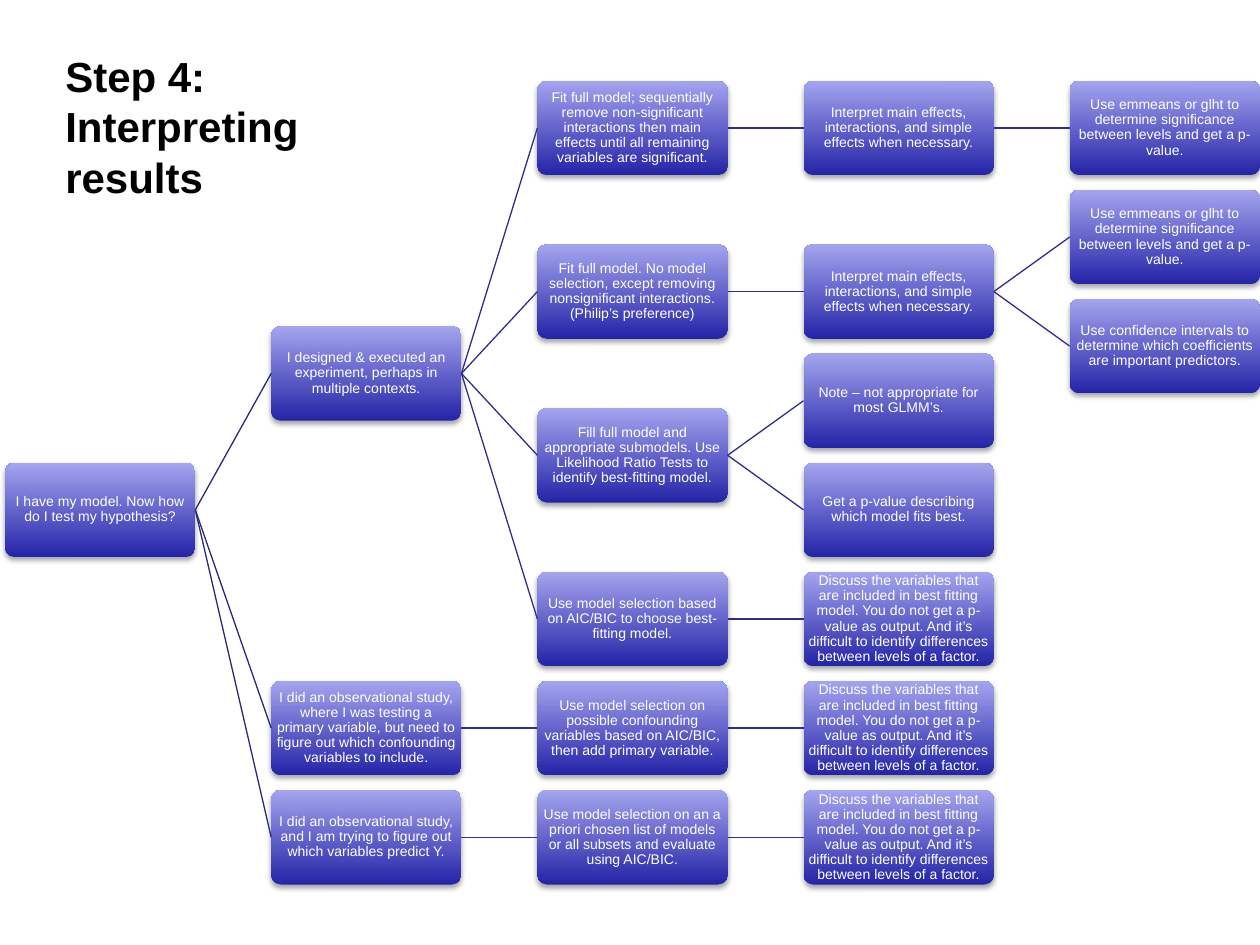
"""Build the decision tree slide for interpreting model results."""
from dataclasses import dataclass
from typing import Optional

from lxml.etree import SubElement
from pptx import Presentation
from pptx.dml.color import RGBColor
from pptx.enum.shapes import MSO_CONNECTOR as Connector, MSO_SHAPE as Preset
from pptx.enum.text import MSO_ANCHOR as Anchor, MSO_AUTO_SIZE as AutoSize, PP_ALIGN as Align
from pptx.oxml.ns import qn
from pptx.shapes.autoshape import Shape
from pptx.slide import Slide
from pptx.util import Inches, Pt

COLORS = {
    "dark": "2424A8",
    "light": "A4A4EF",
    "root_line": "29297B",
    "line": "2E2E8B",
    "shadow": "000000",
    "title": "000000",
    "text": "FFFFFF",
}
FONT = "Arial"
PAGE_WIDTH, PAGE_HEIGHT = 10, 7.5
BOX_WIDTH, BOX_HEIGHT = 1.51, 0.75
LEFT, TOP, LAST_TOP = 0.04, 0.64, 6.27
LAST_COLUMN, LAST_ROW = 4, 6.5
COLUMN_STEP = (PAGE_WIDTH - BOX_WIDTH - LEFT) / LAST_COLUMN
ROW_STEP = (LAST_TOP - TOP) / LAST_ROW


@dataclass(frozen=True)
class Step:
    """One box of the tree, its grid row and the steps that follow it."""
    row: float
    text: str
    following: tuple["Step", ...] = ()


INTERPRET = "Interpret main effects, interactions, and simple effects when necessary."
EMMEANS = "Use emmeans or glht to determine significance between levels and get a p-value."
DISCUSS = (
    "Discuss the variables that are included in best fitting model. You do not get a p-value "
    "as output. And it’s difficult to identify differences between levels of a factor."
)

EXPERIMENT = Step(2.25, "I designed & executed an experiment, perhaps in multiple contexts.", (
    Step(0, "Fit full model; sequentially remove non-significant interactions then main effects "
            "until all remaining variables are significant.", (
        Step(0, INTERPRET, (Step(0, EMMEANS),)),
    )),
    Step(1.5, "Fit full model. No model selection, except removing nonsignificant interactions. "
              "(Philip’s preference)", (
        Step(1.5, INTERPRET, (
            Step(1, EMMEANS),
            Step(2, "Use confidence intervals to determine which coefficients are important "
                    "predictors."),
        )),
    )),
    Step(3, "Fill full model and appropriate submodels. Use Likelihood Ratio Tests to identify "
            "best-fitting model.", (
        Step(2.5, "Note – not appropriate for most GLMM’s."),
        Step(3.5, "Get a p-value describing which model fits best."),
    )),
    Step(4.5, "Use model selection based on AIC/BIC to choose best-fitting model.", (
        Step(4.5, DISCUSS),
    )),
))
CONFOUNDED = Step(
    5.5, "I did an observational study, where I was testing a primary variable, but need to "
         "figure out which confounding variables to include.", (
        Step(5.5, "Use model selection on possible confounding variables based on AIC/BIC, "
                  "then add primary variable.", (Step(5.5, DISCUSS),)),
    ))
PREDICTIVE = Step(
    6.5, "I did an observational study, and I am trying to figure out which variables "
         "predict Y.", (
        Step(6.5, "Use model selection on an a priori chosen list of models or all subsets and "
                  "evaluate using AIC/BIC.", (Step(6.5, DISCUSS),)),
    ))
QUESTION = Step(3.5, "I have my model. Now how do I test my hypothesis?",
                (EXPERIMENT, CONFOUNDED, PREDICTIVE))


def color(name: str) -> RGBColor:
    """Look up a named colour."""
    return RGBColor.from_string(COLORS[name])


def add_shadow(box: Shape) -> None:
    """Give a box a soft shadow straight below it."""
    box.shadow.inherit = False
    effects = box._element.spPr.find(qn("a:effectLst"))
    shadow = SubElement(effects, qn("a:outerShdw"), blurRad=str(Pt(3.1)), dist=str(Pt(1.8)),
                        dir="5400000", rotWithShape="0")
    tone = SubElement(shadow, qn("a:srgbClr"), val=COLORS["shadow"])
    SubElement(tone, qn("a:alpha"), val="35000")


def add_box(page: Slide, step: Step, column: int) -> Shape:
    """Draw one step at its grid position."""
    box = page.shapes.add_shape(
        Preset.ROUNDED_RECTANGLE,
        Inches(LEFT + column * COLUMN_STEP), Inches(TOP + step.row * ROW_STEP),
        Inches(BOX_WIDTH), Inches(BOX_HEIGHT))
    box.adjustments[0] = 0.1
    box.fill.gradient()
    box.fill.gradient_angle = 90
    for stop, name in zip(box.fill.gradient_stops, ("dark", "light")):
        stop.color.rgb = color(name)
    box.line.fill.background()
    add_shadow(box)
    frame = box.text_frame
    frame.word_wrap = True
    frame.vertical_anchor = Anchor.MIDDLE
    frame.margin_left = frame.margin_right = Inches(0.01)
    frame.margin_top = frame.margin_bottom = Inches(0.01)
    para = frame.paragraphs[0]
    para.text = step.text
    para.alignment = Align.CENTER
    para.line_spacing = 0.9
    para.font.name, para.font.size = FONT, Pt(8)
    para.font.color.rgb = color("text")
    return box


def add_link(page: Slide, start: Shape, end: Shape, line_color: str) -> None:
    """Join the right side of one box to the left side of the next."""
    link = page.shapes.add_connector(Connector.STRAIGHT, 0, 0, 0, 0)
    link.begin_connect(start, 3)
    link.end_connect(end, 1)
    link.line.color.rgb = color(line_color)
    link.line.width = Pt(0.75)
    SubElement(link._element.spPr, qn("a:effectLst"))


def add_tree(page: Slide, step: Step, column: int = 0, parent: Optional[Shape] = None) -> None:
    """Draw a step, its link to the parent and everything that follows."""
    box = add_box(page, step, column)
    if parent is not None:
        add_link(page, parent, box, "root_line" if column == 1 else "line")
    for child in step.following:
        add_tree(page, child, column + 1, box)


def add_title(page: Slide, text: str) -> None:
    """Write the slide title at the top left."""
    box = page.shapes.add_textbox(Inches(0.42), Inches(0.35), Inches(2.94), Inches(1.31))
    frame = box.text_frame
    frame.word_wrap = True
    frame.auto_size = AutoSize.SHAPE_TO_FIT_TEXT
    para = frame.paragraphs[0]
    para.text = text
    para.font.name, para.font.size, para.font.bold = FONT, Pt(24), True
    para.font.color.rgb = color("title")


def main() -> None:
    """Build and save the deck."""
    deck = Presentation()
    deck.slide_width, deck.slide_height = Inches(PAGE_WIDTH), Inches(PAGE_HEIGHT)
    page = deck.slides.add_slide(deck.slide_layouts[6])
    add_tree(page, QUESTION)
    add_title(page, "Step 4: Interpreting results")
    deck.save("out.pptx")


if __name__ == "__main__":
    main()
